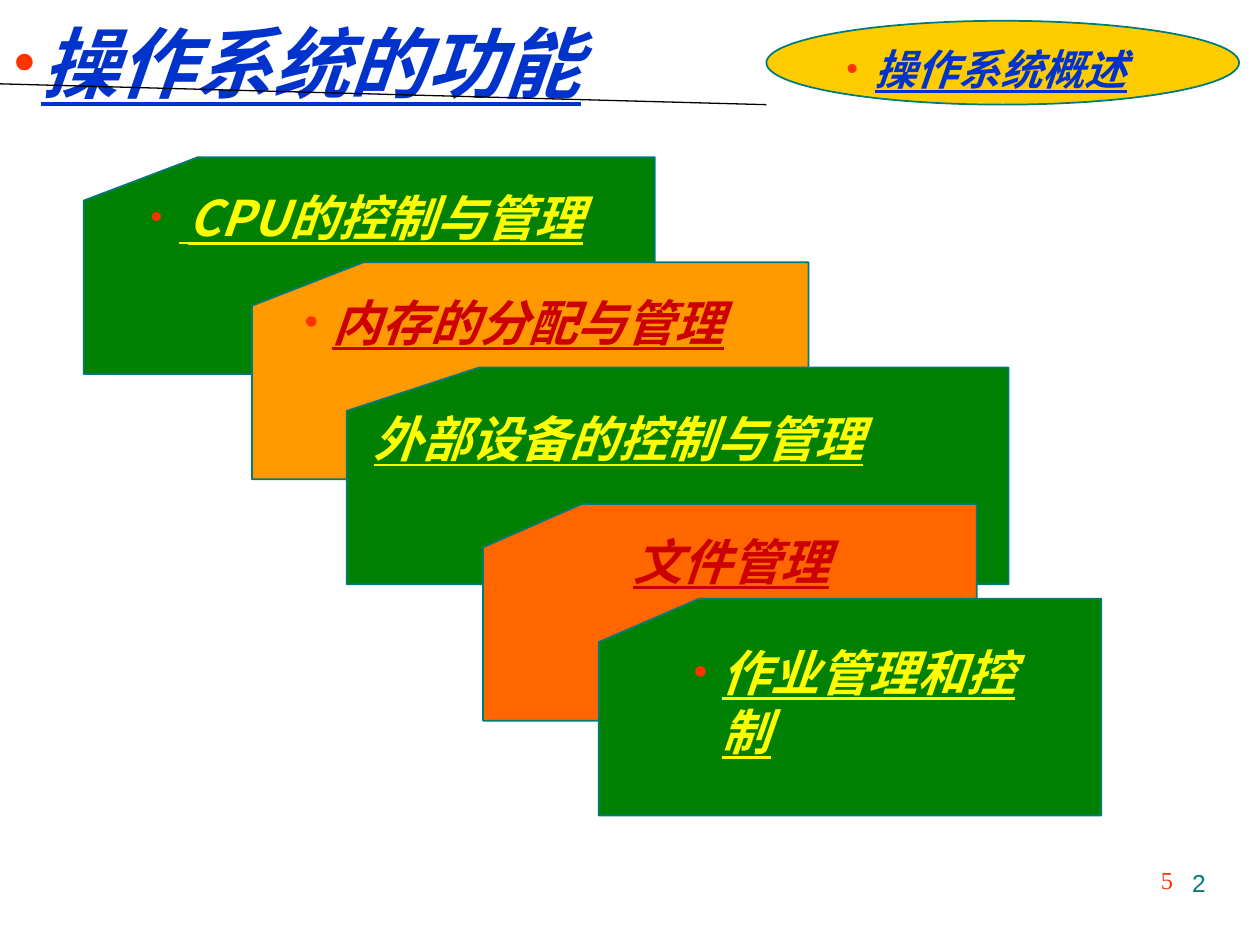
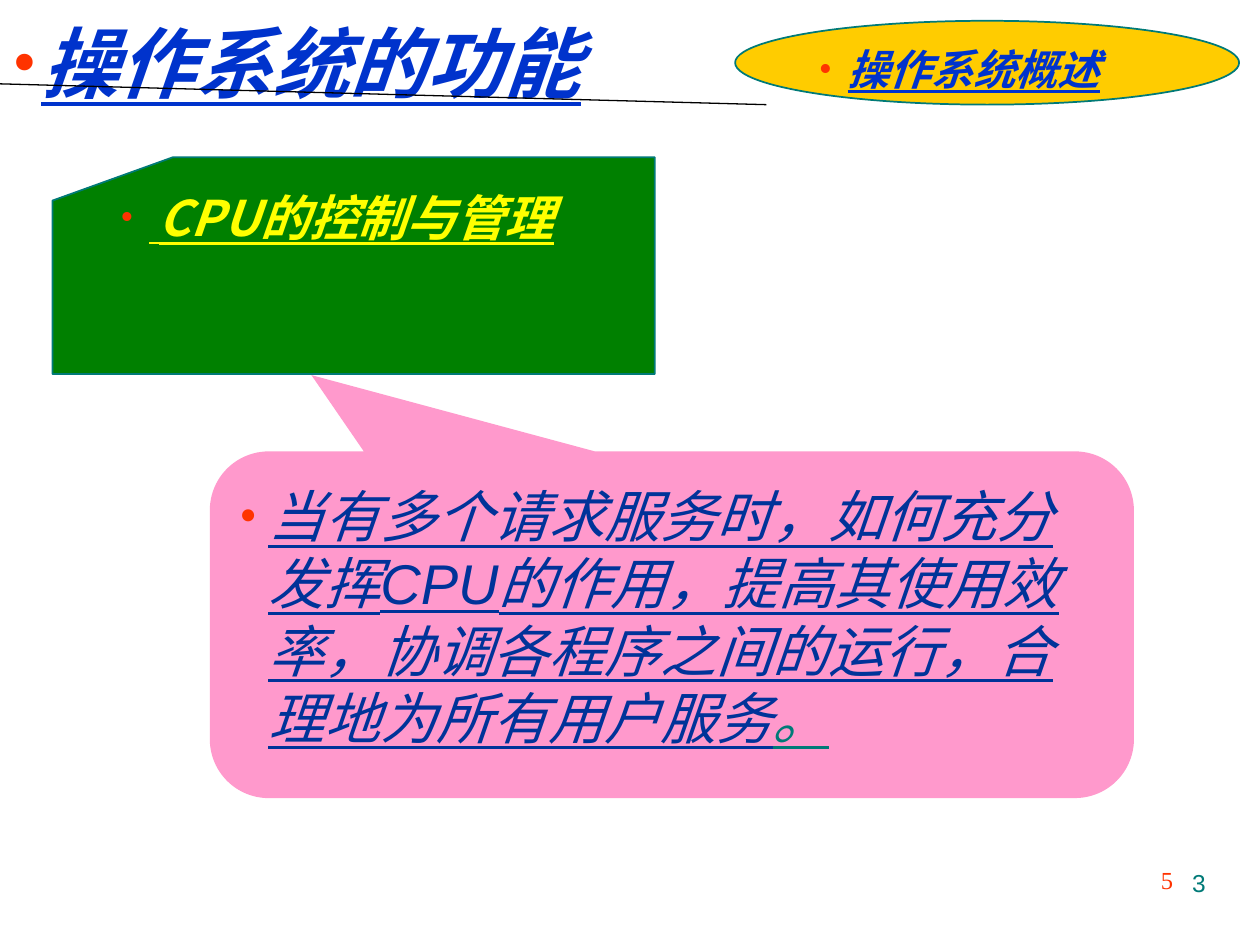
from dataclasses import dataclass
from typing import NamedTuple

from lxml.etree import SubElement
from pptx import Presentation
from pptx.dml.color import RGBColor
from pptx.enum.shapes import MSO_CONNECTOR, MSO_SHAPE
from pptx.enum.text import MSO_ANCHOR, MSO_AUTO_SIZE, PP_ALIGN
from pptx.oxml.ns import qn
from pptx.util import Cm, Pt

COLORS = {
    "teal": "007A77",
    "blue": "0033CC",
    "navy": "003399",
    "red": "CC0000",
    "bullet": "FF3300",
    "yellow": "FFFF00",
    "green": "008000",
    "amber": "FF9900",
    "orange": "FF6600",
    "gold": "FFCC00",
    "pink": "FF99CC",
    "black": "000000",
}
CHINESE_FONT = "Noto Sans CJK SC"
SERIF_FONT = "Times New Roman"
SANS_FONT = "Arial"
LINE_HEIGHT = 1.2  # line pitch, in font sizes
ASCENT_GAP = 0.12  # extra room above the first line, in font sizes
CARD_HEIGHT = 4.37
TOPIC_RIGHT = 24.98


class Box(NamedTuple):
    """Left, top, width and height in centimetres."""
    left: float
    top: float
    width: float
    height: float

    def lengths(self):
        return [Cm(value) for value in self]


class Piece(NamedTuple):
    text: str
    color: str
    size: float


@dataclass
class TextStyle:
    font: str = CHINESE_FONT
    bold: bool = True
    emphasis: bool = True
    bullet: bool = True
    spacing: float = 1.0
    align: PP_ALIGN = PP_ALIGN.LEFT


@dataclass
class Card:
    box: Box
    fill: str
    label_box: Box
    pieces: list[Piece]
    style: TextStyle


BULLETED = TextStyle()
SPACED = TextStyle(bullet=False, spacing=1.1)
HEADING = TextStyle(font=SERIF_FONT)
EXPLANATION = TextStyle(font=SANS_FONT, bold=False)


def page_number_style(font: str) -> TextStyle:
    return TextStyle(font, bold=False, emphasis=False, bullet=False, align=PP_ALIGN.RIGHT)


def rgb(name: str) -> RGBColor:
    return RGBColor.from_string(COLORS[name])


def add_bullet(paragraph) -> None:
    properties = paragraph._p.get_or_add_pPr()
    properties.set("marL", str(Cm(0.58)))
    properties.set("indent", str(-Cm(0.58)))
    color = SubElement(properties, qn("a:buClr"))
    SubElement(color, qn("a:srgbClr"), val=COLORS["bullet"])
    SubElement(properties, qn("a:buSzPct"), val="90000")
    SubElement(properties, qn("a:buFont"), typeface=SERIF_FONT)
    SubElement(properties, qn("a:buChar"), char="•")


def write_text(shape, pieces: list[Piece], style: TextStyle) -> None:
    size = max(piece.size for piece in pieces)
    frame = shape.text_frame
    frame.word_wrap = True
    frame.auto_size = MSO_AUTO_SIZE.NONE
    frame.vertical_anchor = MSO_ANCHOR.TOP
    frame.margin_left = frame.margin_right = Cm(0.25)
    frame.margin_top = frame.margin_bottom = Cm(0.13)
    paragraph = frame.paragraphs[0]
    if style.bullet:
        add_bullet(paragraph)
    paragraph.alignment = style.align
    if style.emphasis:
        frame.margin_top += Pt(ASCENT_GAP * size)
        paragraph.line_spacing = Pt(round(size * LINE_HEIGHT * style.spacing, 1))
    for piece in pieces:
        run = paragraph.add_run()
        run.text = piece.text
        font = run.font
        font.size = Pt(piece.size)
        font.bold = style.bold
        font.italic = font.underline = style.emphasis
        font.color.rgb = rgb(piece.color)
        font.name = style.font
        SubElement(run._r.get_or_add_rPr(), qn("a:ea"), typeface=CHINESE_FONT)


def add_text(slide, box: Box, pieces: list[Piece], style: TextStyle) -> None:
    write_text(slide.shapes.add_textbox(*box.lengths()), pieces, style)


def add_filled(slide, preset: MSO_SHAPE, box: Box, fill: str, outlined: bool = True):
    shape = slide.shapes.add_shape(preset, *box.lengths())
    shape.shadow.inherit = False
    shape.fill.solid()
    shape.fill.fore_color.rgb = rgb(fill)
    if outlined:
        shape.line.color.rgb = rgb("teal")
        shape.line.width = Pt(1)
    else:
        shape.line.fill.background()
    return shape


def add_card(slide, card: Card) -> None:
    add_filled(slide, MSO_SHAPE.FLOWCHART_CARD, card.box, card.fill)
    add_text(slide, card.label_box, card.pieces, card.style)


def start_slide(presentation):
    """Add a slide with its title and the line under it."""
    slide = presentation.slides.add_slide(presentation.slide_layouts[5])
    title = slide.shapes.title
    title.left, title.top, title.width, title.height = Box(0, 0, 13.21, 2.11).lengths()
    write_text(title, [Piece("操作系统的功能", "blue", 44)], HEADING)
    rule = slide.shapes.add_connector(
        MSO_CONNECTOR.STRAIGHT, Cm(0), Cm(1.69), Cm(15.45), Cm(2.11))
    rule.line.color.rgb = rgb("black")
    rule.line.width = Pt(0.75)
    SubElement(rule._element.spPr, qn("a:effectLst"))
    return slide


def add_topic(slide, left: float, label_left: float, label_width: float) -> None:
    """Add the chapter ellipse, which always ends at the same right edge."""
    add_filled(slide, MSO_SHAPE.OVAL, Box(left, 0.42, TOPIC_RIGHT - left, 1.69), "gold")
    add_text(slide, Box(label_left, 0.64, label_width, 1.27),
             [Piece("操作系统概述", "blue", 24)], HEADING)


def add_page_numbers(slide, number: str) -> None:
    add_text(slide, Box(17.55, 17.3, 6.35, 1.32),
             [Piece("5", "bullet", 14)], page_number_style(SERIF_FONT))
    add_text(slide, Box(18.21, 17.36, 6.35, 1.32),
             [Piece(number, "teal", 14)], page_number_style(SANS_FONT))


def processor_card(left: float, width: float, label_left: float, label_width: float) -> Card:
    return Card(
        Box(left, 3.17, width, CARD_HEIGHT), "green",
        Box(label_left, 3.53, label_width, 1.45),
        [Piece(" ", "yellow", 24), Piece("CPU的控制与管理", "yellow", 28)], BULLETED)


def build_functions_slide(presentation) -> None:
    slide = start_slide(presentation)
    cards = [
        processor_card(1.69, 11.51, 2.77, 10.39),
        Card(Box(5.08, 5.29, 11.22, CARD_HEIGHT), "amber", Box(5.87, 5.64, 10.19, 1.45),
             [Piece("内存的分配与管理", "red", 28)], BULLETED),
        Card(Box(6.99, 7.41, 13.34, CARD_HEIGHT), "green", Box(7.29, 7.87, 13.16, 1.55),
             [Piece("外部设备的控制与管理", "yellow", 28)], SPACED),
        Card(Box(9.74, 10.16, 9.95, CARD_HEIGHT), "orange", Box(12.52, 10.34, 4.6, 1.55),
             [Piece("文件管理", "red", 28)], SPACED),
        Card(Box(12.07, 12.07, 10.13, CARD_HEIGHT), "green", Box(13.72, 12.7, 7.47, 1.45),
             [Piece("作业管理和控制", "yellow", 28)], BULLETED),
    ]
    for card in cards:
        add_card(slide, card)
    add_topic(slide, 15.45, 16.8, 7.26)
    add_page_numbers(slide, "2")


def build_processor_slide(presentation) -> None:
    slide = start_slide(presentation)
    add_card(slide, processor_card(1.06, 12.14, 2.18, 10.97))
    add_topic(slide, 14.82, 16.26, 7.75)
    callout = add_filled(slide, MSO_SHAPE.ROUNDED_RECTANGULAR_CALLOUT,
                         Box(4.23, 9.1, 18.63, 6.99), "pink", outlined=False)
    for index, value in enumerate((-0.39, -0.72, 0.17)):
        callout.adjustments[index] = value
    explanation = ("当有多个请求服务时，如何充分发挥CPU的作用，提高其使用效率，"
                   "协调各程序之间的运行，合理地为所有用户服务")
    write_text(callout, [Piece(explanation, "navy", 32), Piece("。", "teal", 32)], EXPLANATION)
    add_page_numbers(slide, "3")


def main() -> None:
    presentation = Presentation()
    presentation.slide_width = Cm(25.4)
    presentation.slide_height = Cm(19.05)
    build_functions_slide(presentation)
    build_processor_slide(presentation)
    presentation.save("out.pptx")


if __name__ == "__main__":
    main()
